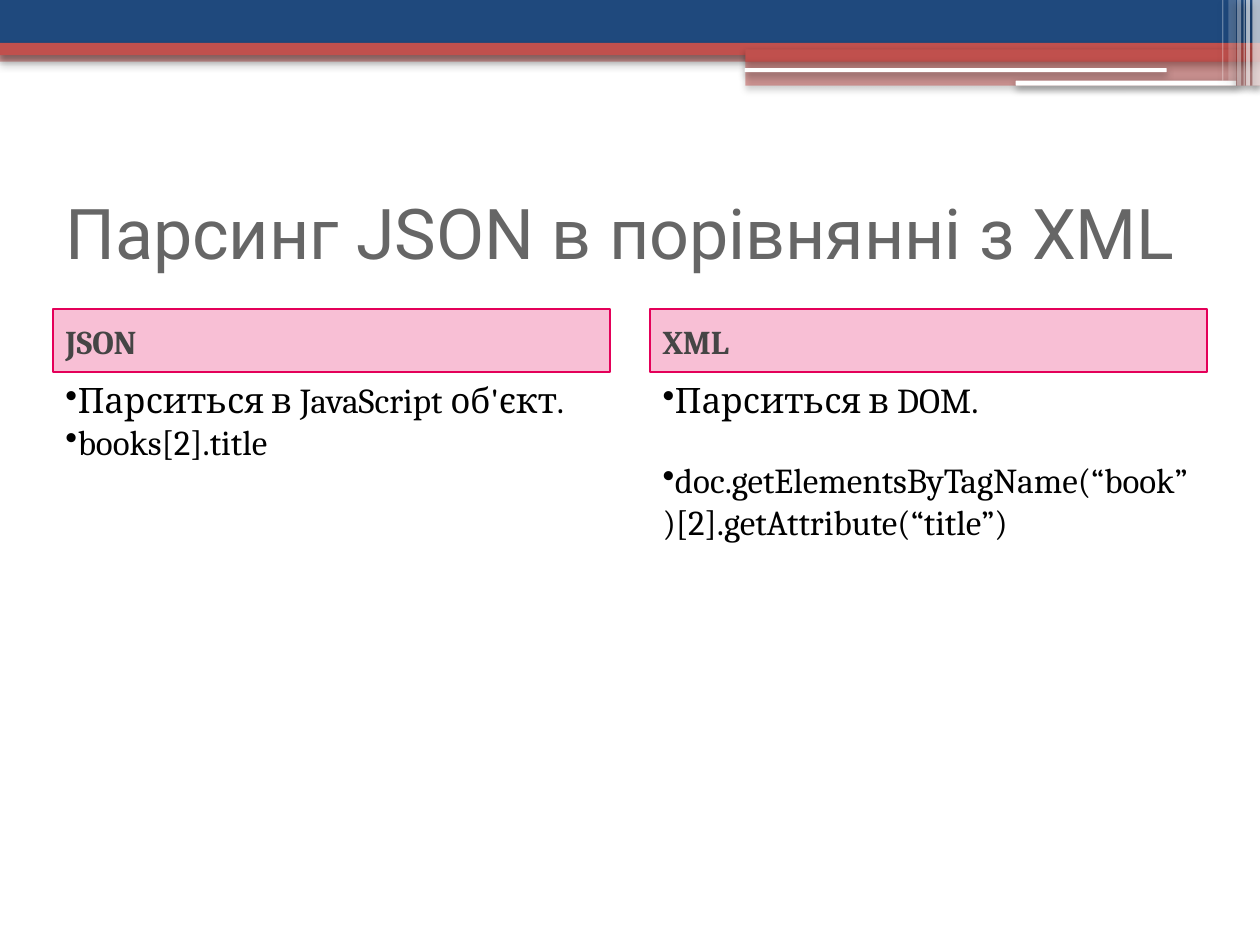
"""Build a slide that compares reading JSON with reading XML."""
from dataclasses import dataclass

from lxml import etree
from pptx import Presentation
from pptx.dml.color import RGBColor
from pptx.enum.shapes import MSO_SHAPE
from pptx.enum.text import MSO_ANCHOR, PP_ALIGN
from pptx.oxml.ns import qn
from pptx.util import Pt

RECT = MSO_SHAPE.RECTANGLE
ROUND = MSO_SHAPE.ROUNDED_RECTANGLE
TOP = MSO_ANCHOR.TOP
MIDDLE = MSO_ANCHOR.MIDDLE
LEFT = PP_ALIGN.LEFT
NAVY, RED, WHITE, PINK = "1F497D", "C0504D", "FFFFFF", "E40059"
GREY, DARK, BLACK = "666666", "454545", "000000"
SANS, SERIF = "Roboto", "Cambria"
MARGIN = 30.25
WIDTH = 318.25
PITCH = 341.25


@dataclass
class Box:
    left: float
    top: float
    width: float
    height: float


@dataclass
class Bar:
    box: Box
    color: str
    alpha: int = 100
    form: int = RECT


@dataclass
class Style:
    size: float
    font: str
    color: str
    bold: bool = False


@dataclass
class Column:
    head: str
    items: list[str]
    gap: float = 0


TITLE = Style(40, SANS, GREY)
HEAD = Style(19, SERIF, DARK, True)
BODY = Style(20, SERIF, BLACK)

BARS = [
    Bar(Box(0, 28.8, 720, 6.5), RED, 50),
    Bar(Box(0, 0, 720, 24.5), NAVY),
    Bar(Box(0, 24.5, 720, 7), RED),
    Bar(Box(426, 28.2, 294, 7), RED),
    Bar(Box(426, 34.7, 294, 14.2), RED, 50),
    Bar(Box(425.5, 39, 241.2, 2.2), WHITE, form=ROUND),
    Bar(Box(580.4, 46.1, 126, 2.9), WHITE, form=ROUND),
    Bar(Box(715.6, 0, 4.4, 49), WHITE, 66),
    Bar(Box(712.1, 0, 2.2, 49), WHITE, 66),
    Bar(Box(710.6, 0, 0.7, 49), WHITE, 60),
    Bar(Box(707, 0, 2.2, 49), WHITE, 40),
    Bar(Box(702, 0, 4.3, 46.1), WHITE, 20),
    Bar(Box(698.4, 0, 0.7, 46.1), WHITE, 31),
]

COLUMNS = [
    Column("JSON", ["Парситься в JavaScript об'єкт.", "books[2].title"]),
    Column("XML", [
        "Парситься в DOM.",
        "doc.getElementsByTagName(“book”)[2].getAttribute(“title”)",
    ], 21.7),
]


def rgb(code: str) -> RGBColor:
    return RGBColor.from_string(code)


def spot(box: Box) -> list[Pt]:
    return [Pt(n) for n in (box.left, box.top, box.width, box.height)]


def fade(node, alpha: int) -> None:
    etree.SubElement(node, qn("a:alpha"), val=str(alpha * 1000))


def shade(shape) -> None:
    effects = shape._element.spPr.find(qn("a:effectLst"))
    outer = etree.SubElement(
        effects, qn("a:outerShdw"), blurRad=str(Pt(4.1)), dist=str(Pt(2)),
        dir="5400000", algn="ctr", rotWithShape="0")
    fade(etree.SubElement(outer, qn("a:srgbClr"), val=BLACK), 40)


def add_bar(slide, bar: Bar):
    shape = slide.shapes.add_shape(bar.form, *spot(bar.box))
    shape.shadow.inherit = False
    shape.fill.solid()
    shape.fill.fore_color.rgb = rgb(bar.color)
    shape.line.fill.background()
    if bar.form == ROUND:
        shape.adjustments[0] = 0.14
    if bar.alpha < 100:
        fade(shape._element.spPr.find(f".//{qn('a:srgbClr')}"), bar.alpha)
    return shape


def write(shape, items: list[str], style: Style, anchor: int,
          dots: bool = False, gap: float = 0) -> None:
    frame = shape.text_frame
    frame.word_wrap = True
    frame.vertical_anchor = anchor
    for place, text in enumerate(items):
        para = frame.add_paragraph() if place else frame.paragraphs[0]
        para.alignment = LEFT
        if place:
            para.space_before = Pt(gap)
        if dots:
            add_dot(para)
        run = para.add_run()
        run.text = text
        run.font.size = Pt(style.size)
        run.font.name = style.font
        run.font.bold = style.bold
        run.font.color.rgb = rgb(style.color)


def add_dot(para) -> None:
    props = para._p.get_or_add_pPr()
    props.set("marL", "0")
    props.set("indent", str(-Pt(10)))
    tint = etree.SubElement(props, qn("a:buClr"))
    etree.SubElement(tint, qn("a:srgbClr"), val=BLACK)
    etree.SubElement(props, qn("a:buChar"), char="•")


def add_column(slide, column: Column, left: float) -> None:
    head = add_bar(slide, Bar(Box(left, 176.75, WIDTH, 36), PINK, 25))
    head.line.color.rgb = rgb(PINK)
    head.line.width = Pt(1)
    write(head, [column.head], HEAD, MIDDLE)
    body = slide.shapes.add_textbox(*spot(Box(left, 213, WIDTH, 306)))
    write(body, column.items, BODY, TOP, True, column.gap)


def main() -> None:
    deck = Presentation()
    deck.slide_width, deck.slide_height = Pt(720), Pt(540)
    slide = deck.slides.add_slide(deck.slide_layouts[6])
    for bar in BARS:
        shade(add_bar(slide, bar))
    title = slide.shapes.add_textbox(*spot(Box(MARGIN, 90, 660, 84.25)))
    write(title, ["Парсинг JSON в порівнянні з XML"], TITLE, MIDDLE)
    for place, column in enumerate(COLUMNS):
        add_column(slide, column, MARGIN + place * PITCH)
    deck.save("out.pptx")


if __name__ == "__main__":
    main()
